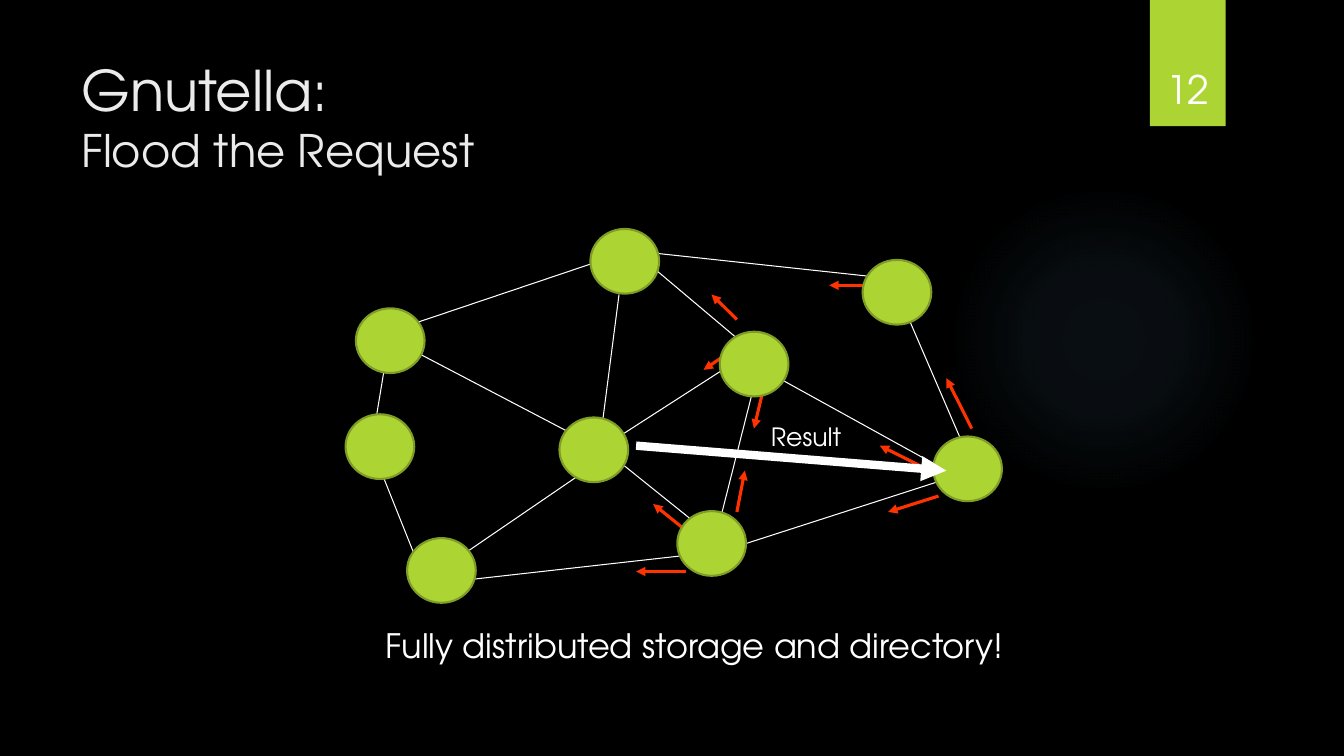
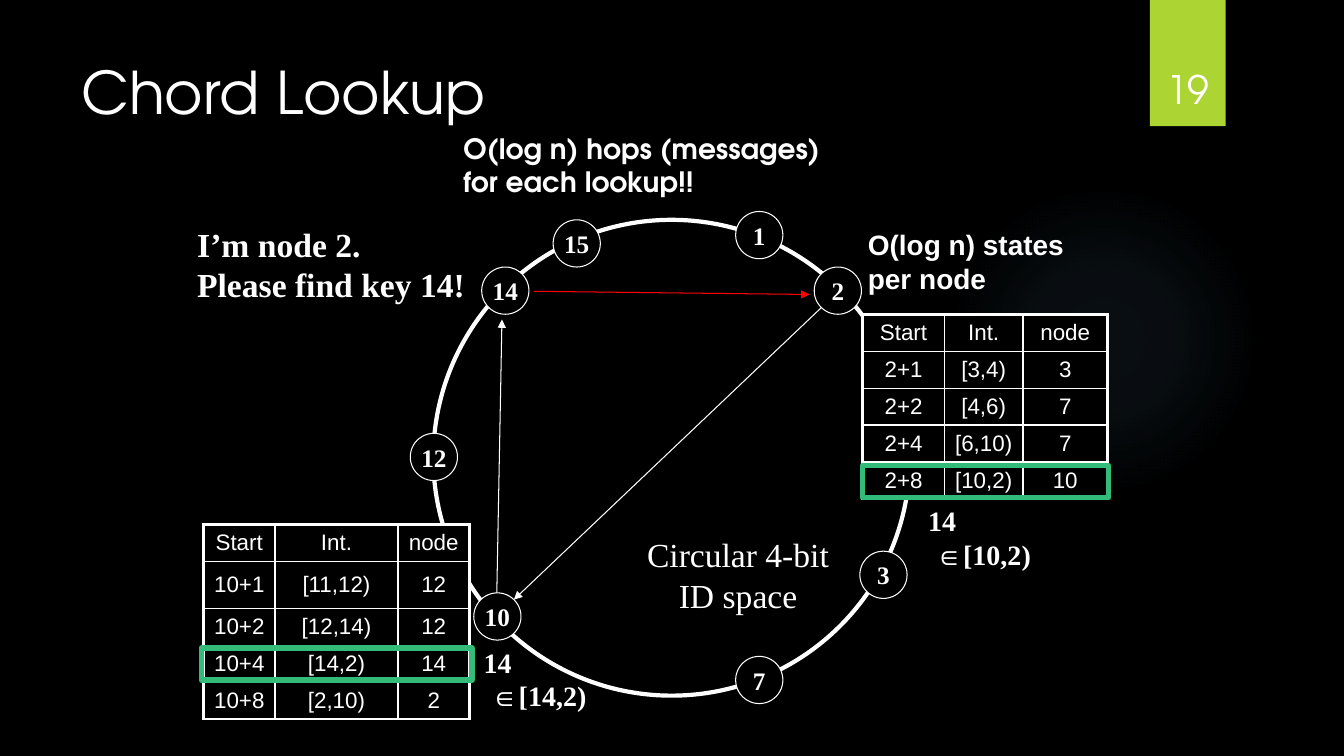
from lxml import etree
from pptx import Presentation
from pptx.dml.color import RGBColor
from pptx.enum.shapes import MSO_CONNECTOR, MSO_SHAPE
from pptx.enum.text import MSO_ANCHOR, PP_ALIGN
from pptx.oxml import parse_xml
from pptx.oxml.ns import nsdecls, qn
from pptx.util import Cm, Pt

LINE = MSO_CONNECTOR.STRAIGHT
OVAL, RECT = MSO_SHAPE.OVAL, MSO_SHAPE.RECTANGLE
LEFT, MID = PP_ALIGN.LEFT, PP_ALIGN.CENTER
TOP, HALF, BASE = MSO_ANCHOR.TOP, MSO_ANCHOR.MIDDLE, MSO_ANCHOR.BOTTOM

SANS, SERIF, PLAIN = "TeX Gyre Adventor", "Times New Roman", "Arial"
BLACK, WHITE, PALE = "000000", "FFFFFF", "EBEBEB"
LIME, OLIVE, JADE = "ACD433", "7F9D26", "32BB79"
FLAME, RED, SKY = "FF3300", "FF0000", "7AC4F0"

GLOW = (23.9, 4.65, 7.82, 7.82)
HALO = [(0, 7), (36, 6), (69, 0)]
BAND = (28.98, 0, 1.91, 3.18)
HEAD = (1.8, 1.27, 26.14, 3.89)

PEERS = [
    (14.88, 5.77), (21.74, 6.55), (18.14, 8.36), (23.52, 11), (14.1, 10.52),
    (17.07, 12.88), (10.26, 13.56), (8.71, 10.44), (8.97, 7.77),
]
LINKS = [
    (9.68, 9.32, 9.47, 10.59), (10.11, 8.26, 15.19, 6.55),
    (15.6, 7.42, 15.19, 10.59), (9.68, 12.07, 10.52, 14.17),
    (14.76, 11.86, 11.38, 14.17), (16.23, 6.55, 18.77, 8.69),
    (15.6, 11, 18.57, 9.09), (19, 9.73, 18.14, 13.13),
    (11.79, 14.61, 17.5, 13.97), (15.6, 11.63, 17.73, 13.34),
    (16.23, 6.35, 22.17, 6.99), (22.81, 7.82, 24.28, 11.23),
    (19.63, 9.53, 23.85, 11.86), (18.57, 13.77, 23.85, 12.07),
    (10.52, 8.89, 14.55, 11),
]
FLOOD = [
    (24.49, 10.8, 23.85, 9.53), (23.44, 11.86, 22.17, 11.23),
    (23.65, 12.5, 22.38, 12.9), (18.57, 12.9, 18.77, 11.86),
    (17.5, 13.54, 16.46, 12.7), (17.3, 14.4, 16.03, 14.4),
    (21.95, 7.19, 20.9, 7.19), (18.36, 8.89, 17.73, 9.32),
    (18.57, 8.05, 17.93, 7.42), (19.2, 9.96, 19, 10.8),
]
REPLY = (16.03, 11.23, 23.85, 11.86)

RING = (10.92, 5.54, 12.01, 11.99)
KEYS = [
    ("12", 10.34, 10.92), ("14", 12.14, 6.73), ("2", 20.52, 6.73),
    ("10", 11.94, 14.94), ("15", 13.94, 5.54), ("1", 18.54, 5.33),
    ("7", 18.54, 16.54), ("3", 21.67, 13.89),
]
HOPS = [
    ((20.7, 7.75, 12.95, 15.11), WHITE),
    ((12.52, 14.94, 12.65, 8.05), WHITE),
    ((13.46, 7.34, 20.4, 7.42), RED),
]
NAMES = ("Start", "Int.", "node")
TABLES = [
    ((5.13, 13.21), (1.8, 3.1, 1.8), (0.93, 1.19, 0.93, 0.93, 0.93), [
        NAMES, ("10+1", "[11,12)", "12"), ("10+2", "[12,14)", "12"),
        ("10+4", "[14,2)", "14"), ("10+8", "[2,10)", "2")]),
    ((21.74, 7.92), (2.06, 1.98, 2.13), (0.93,) * 5, [
        NAMES, ("2+1", "[3,4)", "3"), ("2+2", "[4,6)", "7"),
        ("2+4", "[6,10)", "7"), ("2+8", "[10,2)", "10")]),
]
MARKS = [(5.08, 16.33, 6.81, 0.81), (21.74, 11.73, 6.2, 0.81)]
NOTES = [
    ((4.72, 5.51, 7.7, 2.31), ["I’m node 2.", "Please find key 14!"],
     dict(size=24, face=SERIF, bold=True)),
    ((11.43, 3.18, 10, 2.82),
     ["O(log n) hops (messages)", "for each lookup!!"],
     dict(size=20, bold=True)),
    ((23.14, 12.57, 3.56, 2), ["14", " ∈[10,2)"],
     dict(size=20, face=SERIF, bold=True)),
    ((11.94, 16.13, 3.56, 2), ["14", " ∈[14,2)"],
     dict(size=20, face=SERIF, bold=True)),
    ((15.8, 13.34, 5.6, 2.31), ["Circular 4-bit", "ID space"],
     dict(size=24, face=SERIF, align=MID)),
    ((21.62, 5.61, 5.72, 1.96), ["O(log n) states per node"],
     dict(size=20, face=PLAIN, bold=True)),
]


def color(code):
    return RGBColor.from_string(code)


def write(frame, lines, size=18, face=SANS, tone=WHITE, bold=False,
          align=LEFT, anchor=TOP, wrap=True, space=1.0):
    frame.word_wrap = wrap
    frame.vertical_anchor = anchor
    for i, line in enumerate(lines):
        text, high = line if isinstance(line, tuple) else (line, size)
        para = frame.add_paragraph() if i else frame.paragraphs[0]
        para.alignment = align
        para.line_spacing = space
        run = para.add_run()
        run.text = text
        run.font.size = Pt(high)
        run.font.name = face
        run.font.bold = bold
        run.font.color.rgb = color(tone)


def label(slide, box, lines, **style):
    area = slide.shapes.add_textbox(*map(Cm, box))
    write(area.text_frame, lines, **style)


def shape(slide, kind, box, fill=None, line=None, width=1):
    item = slide.shapes.add_shape(kind, *map(Cm, box))
    item.shadow.inherit = False
    if fill:
        item.fill.solid()
        item.fill.fore_color.rgb = color(fill)
    else:
        item.fill.background()
    if line:
        item.line.color.rgb = color(line)
        item.line.width = Pt(width)
    else:
        item.line.fill.background()
    return item


def link(slide, ends, tone=WHITE, width=0.75, arrow=True):
    item = slide.shapes.add_connector(LINE, *map(Cm, ends))
    item.line.color.rgb = color(tone)
    item.line.width = Pt(width)
    if arrow:
        tip = etree.SubElement(item.line._get_or_add_ln(), qn("a:tailEnd"))
        tip.set("type", "triangle")
    etree.SubElement(item._element.spPr, qn("a:effectLst"))


def glow(slide):
    item = shape(slide, OVAL, GLOW)
    stops = "".join(
        f'<a:gs pos="{spot * 1000}"><a:srgbClr val="{SKY}">'
        f'<a:alpha val="{alpha * 1000}"/></a:srgbClr></a:gs>'
        for spot, alpha in HALO)
    fill = parse_xml(
        f'<a:gradFill {nsdecls("a")}><a:gsLst>{stops}</a:gsLst>'
        '<a:path path="circle"><a:fillToRect l="50000" t="50000" '
        'r="50000" b="50000"/></a:path></a:gradFill>')
    props = item._element.spPr
    props.replace(props.find(qn("a:noFill")), fill)


def start(deck, title, page, **style):
    slide = deck.slides.add_slide(deck.slide_layouts[6])
    slide.background.fill.solid()
    slide.background.fill.fore_color.rgb = color(BLACK)
    glow(slide)
    band = shape(slide, RECT, BAND, LIME)
    band.text_frame.margin_bottom = Cm(0.35)
    write(band.text_frame, [page], size=28, align=MID, anchor=BASE, wrap=False)
    label(slide, HEAD, title, **style)
    return slide


def edge(cell, side, width):
    cell._tc.get_or_add_tcPr().append(parse_xml(
        f'<a:{side} {nsdecls("a")} w="{Pt(width)}"><a:solidFill>'
        f'<a:srgbClr val="{WHITE}"/></a:solidFill></a:{side}>'))


def table(slide, spot, cols, rows, data):
    box = (*spot, sum(cols), sum(rows))
    grid = slide.shapes.add_table(len(rows), len(cols), *map(Cm, box)).table
    grid.first_row = grid.horz_banding = False
    for col, width in zip(grid.columns, cols):
        col.width = Cm(width)
    for r, (high, words) in enumerate(zip(rows, data)):
        grid.rows[r].height = Cm(high)
        for c, word in enumerate(words):
            cell = grid.cell(r, c)
            outer = (("lnL", c == 0), ("lnR", c == len(cols) - 1),
                     ("lnT", r == 0), ("lnB", r == len(rows) - 1))
            for side, rim in outer:
                edge(cell, side, 2.25 if rim else 1)
            cell.fill.solid()
            cell.fill.fore_color.rgb = color(BLACK)
            cell.margin_left = cell.margin_right = Cm(0.1)
            cell.margin_top = cell.margin_bottom = Cm(0.1)
            cell.vertical_anchor = HALF
            write(cell.text_frame, [word], size=16, face=PLAIN,
                  align=MID, anchor=HALF)


def flood(deck):
    title = [("Gnutella:", 40), ("Flood the Request", 32)]
    slide = start(deck, title, "12", tone=PALE)
    for ends in LINKS:
        link(slide, ends, arrow=False)
    for ends in FLOOD:
        link(slide, ends, FLAME, 2.25)
    for spot in PEERS:
        shape(slide, OVAL, (*spot, 1.73, 1.63), LIME, OLIVE, 1.5)
    link(slide, REPLY, width=6)
    label(slide, (19.18, 10.49, 2.6, 1.02), ["Result"])
    label(slide, (8.2, 15.16, 18.62, 2.34),
          ["Fully distributed storage and directory!"],
          size=24, align=MID, anchor=HALF, space=0.9)


def chord(deck):
    slide = start(deck, ["Chord Lookup"], "19", size=42)
    shape(slide, OVAL, RING, line=WHITE, width=3)
    for name, x, y in KEYS:
        node = shape(slide, OVAL, (x, y, 1.19, 1.19), BLACK, WHITE, 0.75)
        write(node.text_frame, [name], face=SERIF, bold=True,
              align=MID, anchor=HALF, wrap=False)
    for part in TABLES:
        table(slide, *part)
    for ends, tone in HOPS:
        link(slide, ends, tone)
    for box in MARKS:
        shape(slide, RECT, box, line=JADE, width=4)
    for box, lines, style in NOTES:
        label(slide, box, lines, **style)


def main():
    deck = Presentation()
    deck.slide_width, deck.slide_height = Cm(33.87), Cm(19.05)
    flood(deck)
    chord(deck)
    deck.save("out.pptx")


if __name__ == "__main__":
    main()
